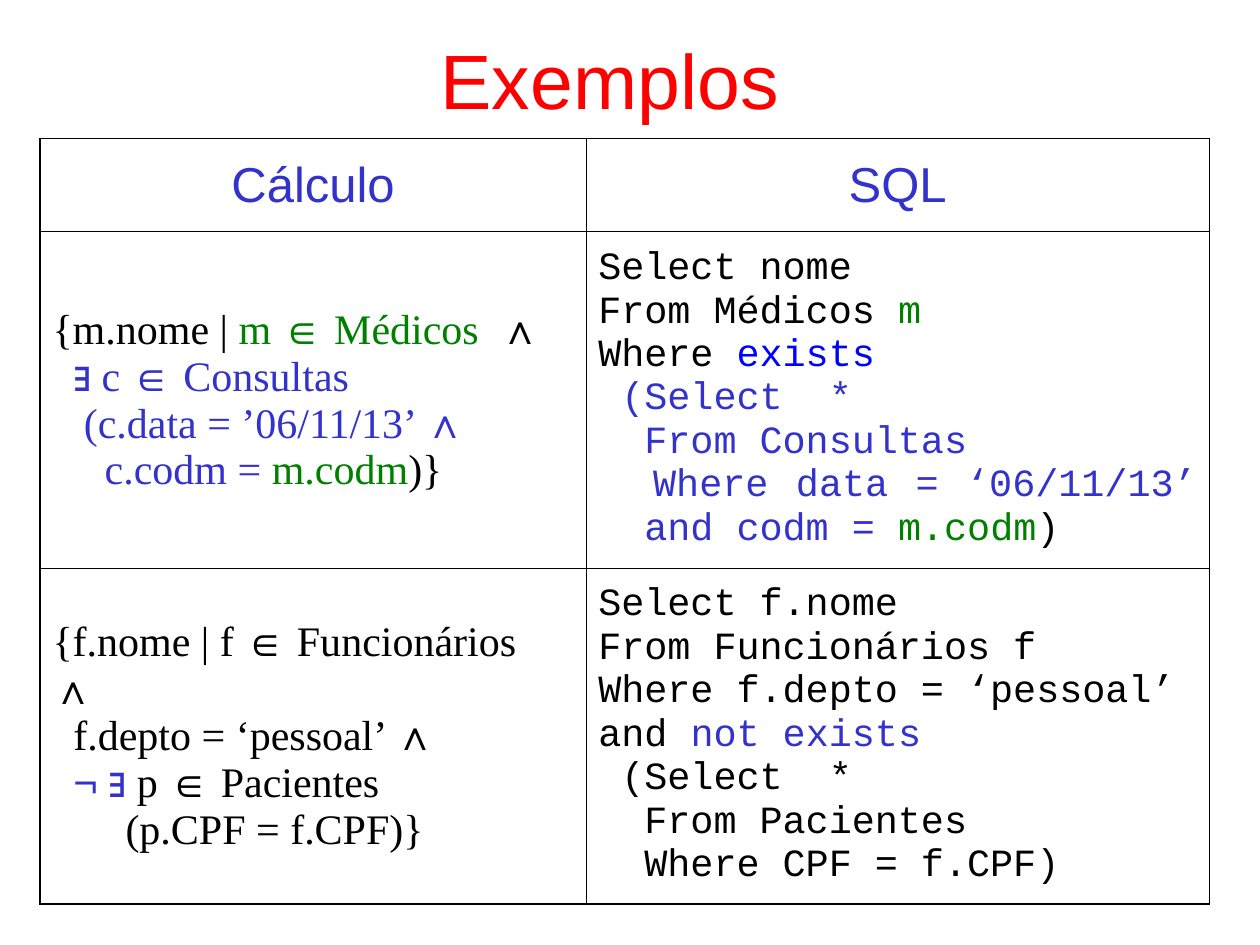
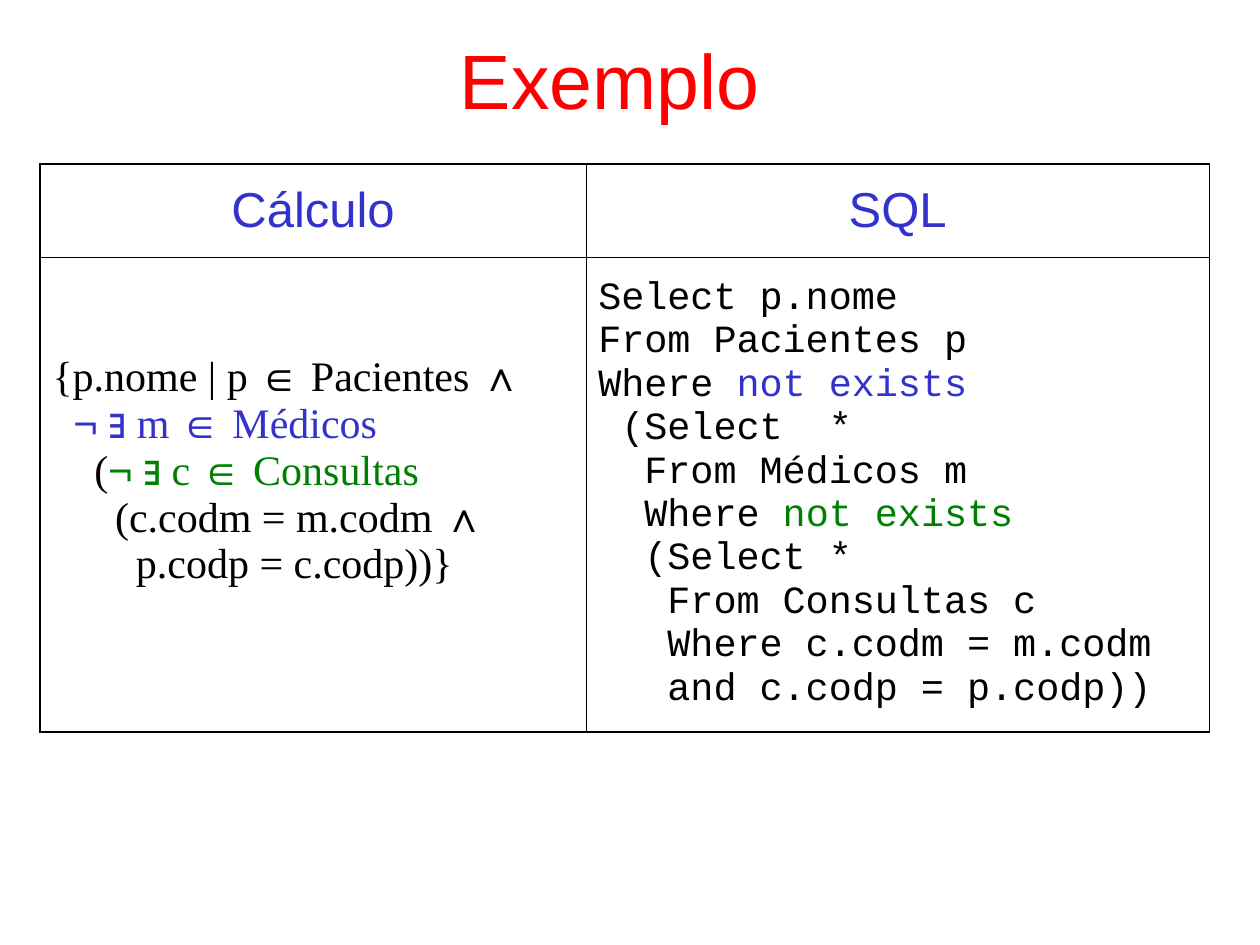
from dataclasses import dataclass
from itertools import groupby
from typing import NamedTuple

from lxml import etree
from pptx import Presentation
from pptx.dml.color import RGBColor
from pptx.enum.text import MSO_ANCHOR, PP_ALIGN
from pptx.oxml.ns import qn
from pptx.util import Cm, Pt

LEFT, CENTER, JUSTIFY = PP_ALIGN.LEFT, PP_ALIGN.CENTER, PP_ALIGN.JUSTIFY
MIDDLE = MSO_ANCHOR.MIDDLE

BLACK, RED, BLUE, LINK_BLUE, GREEN = "000000", "FF0000", "3333CC", "0000FF", "008000"
SANS, SERIF, MONO = "Arial", "Times New Roman", "Courier New"
SYMBOLS = "∈∧∃¬"
HEADINGS = ("Cálculo", "SQL")
COLUMN_WIDTHS = (11, 12.57)
TABLE_LEFT, HEADING_HEIGHT = 0.81, 1.88
SIDE_MARGIN, END_MARGIN = 0.25, 0.13
OUTER_LINE, INNER_LINE = 1.08, 0.45
INDENT_STEP = 0.21


class Span(NamedTuple):
    """A piece of a line in one colour."""
    text: str
    color: str = BLACK


class Line(NamedTuple):
    """A line of calculus, indented by a number of steps."""
    indent: int
    spans: list[Span]


@dataclass
class Query:
    """One query in calculus and in SQL, side by side."""
    height: float
    calculus: list[Line]
    sql: list[list[Span]]
    calculus_foot: float = END_MARGIN


@dataclass
class Page:
    """A titled slide with its comparison table."""
    title: str
    table_top: float
    queries: list[Query]


def plain(*texts: str) -> list[list[Span]]:
    """Turn texts into black lines."""
    return [[Span(text)] for text in texts]


PAGES = [
    Page("Exemplos", 2.79, [
        Query(6.78, [
            Line(0, [Span("{m.nome | "), Span("m ∈ Médicos  ", GREEN), Span("∧")]),
            Line(2, [Span("∃ c ∈ Consultas", BLUE)]),
            Line(3, [Span("(c.data = ’06/11/13’ ∧", BLUE)]),
            Line(5, [Span("c.codm = ", BLUE), Span("m.codm", GREEN), Span(")}")]),
        ], [
            *plain("Select nome"),
            [Span("From Médicos "), Span("m", GREEN)],
            [Span("Where "), Span("exists", LINK_BLUE)],
            [Span(" (Select  *", BLUE)],
            [Span("  From Consultas", BLUE)],
            [Span("  Where data = ‘06/11/13’ ", BLUE)],
            [Span("  and codm = ", BLUE), Span("m.codm", GREEN), Span(")")],
        ]),
        Query(6.78, [
            Line(0, [Span("{f.nome | f ∈ Funcionários  ∧")]),
            Line(2, [Span("f.depto = ‘pessoal’ ∧")]),
            Line(2, [Span("¬ ∃", BLUE), Span(" p ∈ Pacientes")]),
            Line(7, [Span("(p.CPF = f.CPF)}")]),
        ], [
            *plain("Select f.nome", "From Funcionários f", "Where f.depto = ‘pessoal’"),
            [Span("and "), Span("not exists", BLUE)],
            *plain(" (Select  *", "  From Pacientes", "  Where CPF = f.CPF)"),
        ]),
    ]),
    Page("Exemplo", 3.3, [
        Query(9.58, [
            Line(0, [Span("{p.nome | p ∈ Pacientes ∧")]),
            Line(2, [Span("¬ ∃ m ∈ Médicos", BLUE)]),
            Line(4, [Span("("), Span("¬ ∃ c ∈ Consultas", GREEN)]),
            Line(6, [Span("(c.codm = m.codm ∧")]),
            Line(8, [Span("p.codp = c.codp))}")]),
        ], [
            *plain("Select p.nome", "From Pacientes p"),
            [Span("Where "), Span("not exists", BLUE)],
            *plain(" (Select  *", "  From Médicos m"),
            [Span("  Where "), Span("not exists", GREEN)],
            *plain("  (Select *", "   From Consultas c",
                   "   Where c.codm = m.codm", "   and c.codp = p.codp))"),
        ], calculus_foot=1.1),
    ]),
]


def rgb(color: str) -> RGBColor:
    """Convert a hex string to a colour."""
    return RGBColor.from_string(color)


def write(para, text: str, *, size: float, font: str, color: str) -> None:
    """Add text to a paragraph, with logic symbols in the sans font."""
    for is_symbol, letters in groupby(text, lambda letter: letter in SYMBOLS):
        run = para.add_run()
        run.text = "".join(letters)
        run.font.name = SANS if is_symbol else font
        run.font.size = Pt(size)
        run.font.color.rgb = rgb(color)


def write_lines(frame, lines: list[Line], *, size: float, font: str, align) -> None:
    """Fill a text frame with one paragraph per line."""
    for index, line in enumerate(lines):
        para = frame.add_paragraph() if index else frame.paragraphs[0]
        para.alignment = align
        if line.indent:
            properties = para._p.get_or_add_pPr()
            properties.set("marL", str(Cm(line.indent * INDENT_STEP)))
            properties.set("indent", "0")
        for span in line.spans:
            write(para, span.text, size=size, font=font, color=span.color)


def add_border(cell, side: str, width: float) -> None:
    """Draw one black side of a cell."""
    border = etree.SubElement(cell._tc.get_or_add_tcPr(), qn(f"a:ln{side}"), w=str(Pt(width)))
    fill = etree.SubElement(border, qn("a:solidFill"))
    etree.SubElement(fill, qn("a:srgbClr"), val=BLACK)


def style_cell(table, row: int, column: int, foot: float) -> None:
    """Set the borders, margins and anchor of a cell."""
    cell = table.cell(row, column)
    outer_sides = {
        "L": column == 0,
        "R": column == len(table.columns) - 1,
        "T": row == 0,
        "B": row == len(table.rows) - 1,
    }
    for side, is_outer in outer_sides.items():
        add_border(cell, side, OUTER_LINE if is_outer else INNER_LINE)
    cell.fill.background()
    cell.vertical_anchor = MIDDLE
    cell.margin_left = cell.margin_right = Cm(SIDE_MARGIN)
    cell.margin_top, cell.margin_bottom = Cm(END_MARGIN), Cm(foot)


def add_title(slide, title: str) -> None:
    """Add the red centred title."""
    box = slide.shapes.add_textbox(Cm(1.5), Cm(0), Cm(21.59), Cm(3.18))
    frame = box.text_frame
    frame.word_wrap = True
    frame.vertical_anchor = MIDDLE
    write_lines(frame, [Line(0, [Span(title, RED)])], size=44, font=SANS, align=CENTER)


def add_comparison(slide, page: Page) -> None:
    """Add the table that sets calculus beside SQL."""
    heights = [HEADING_HEIGHT, *(query.height for query in page.queries)]
    table = slide.shapes.add_table(
        len(heights), len(COLUMN_WIDTHS), Cm(TABLE_LEFT), Cm(page.table_top),
        Cm(sum(COLUMN_WIDTHS)), Cm(sum(heights))).table
    table.first_row = table.horz_banding = False
    for column, width in zip(table.columns, COLUMN_WIDTHS):
        column.width = Cm(width)
    for row, height in zip(table.rows, heights):
        row.height = Cm(height)

    for column, heading in enumerate(HEADINGS):
        style_cell(table, 0, column, END_MARGIN)
        write_lines(table.cell(0, column).text_frame, [Line(0, [Span(heading, BLUE)])],
                    size=28, font=SANS, align=CENTER)
    for row, query in enumerate(page.queries, start=1):
        style_cell(table, row, 0, query.calculus_foot)
        write_lines(table.cell(row, 0).text_frame, query.calculus,
                    size=24, font=SERIF, align=LEFT)
        style_cell(table, row, 1, END_MARGIN)
        write_lines(table.cell(row, 1).text_frame, [Line(0, spans) for spans in query.sql],
                    size=22, font=MONO, align=JUSTIFY)


def main() -> None:
    """Build and save the deck."""
    deck = Presentation()
    deck.slide_width, deck.slide_height = Cm(25.4), Cm(19.05)
    for page in PAGES:
        slide = deck.slides.add_slide(deck.slide_layouts[6])
        add_title(slide, page.title)
        add_comparison(slide, page)
    deck.save("out.pptx")


if __name__ == "__main__":
    main()
